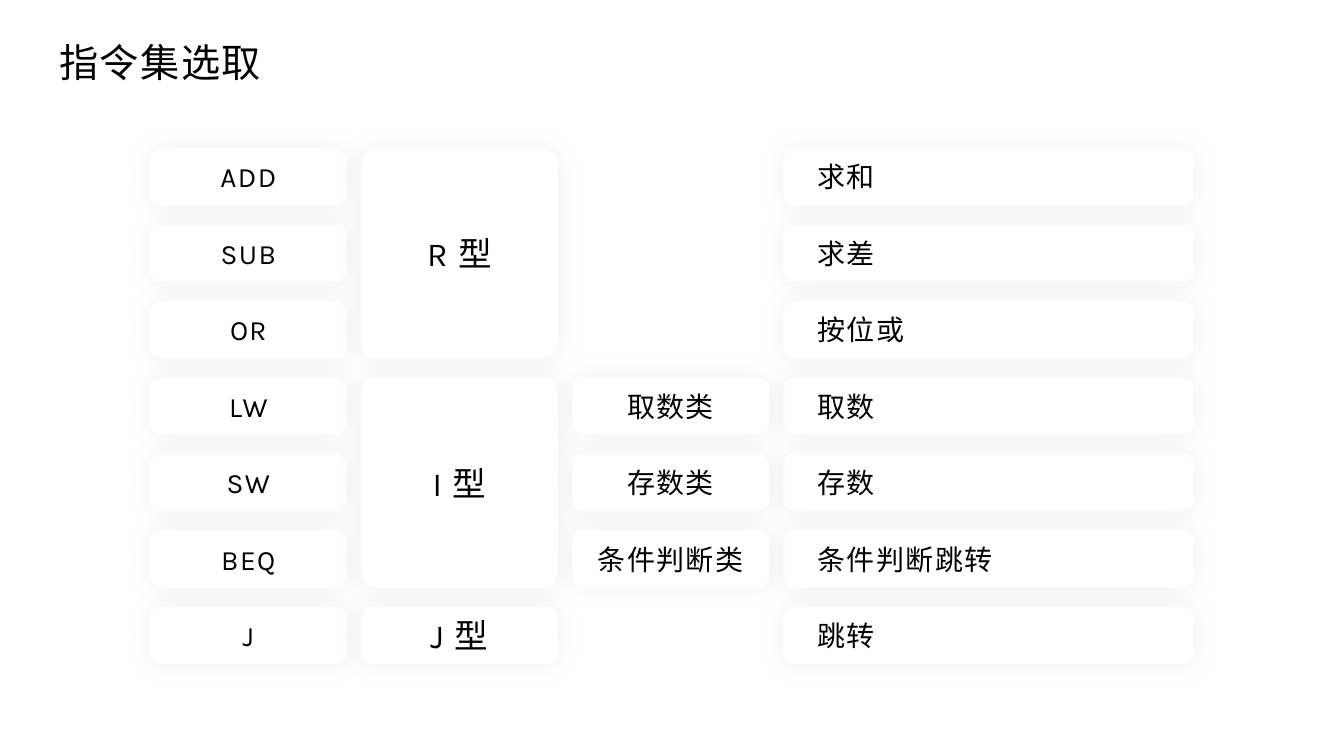
from lxml import etree
from pptx import Presentation
from pptx.dml.color import RGBColor
from pptx.enum import shapes, text
from pptx.oxml import ns
from pptx.util import Pt

LEFT, TOP = 107.2, 105.8
COLUMN_STEP, ROW_STEP = 150.8, 54.6
CARD_WIDTH, WIDE_WIDTH, CARD_HEIGHT = 140.4, 293, 41

INSTRUCTIONS = [
    ("ADD", "求和"),
    ("SUB", "求差"),
    ("OR", "按位或"),
    ("LW", "取数"),
    ("SW", "存数"),
    ("BEQ", "条件判断跳转"),
    ("J", "跳转"),
]
TYPES = [("R 型", 0, 3), ("I 型", 3, 3), ("J 型", 6, 1)]
CLASSES = [("取数类", 3), ("存数类", 4), ("条件判断类", 5)]


def color(value):
    return RGBColor.from_string(value)


class InstructionPage:
    font = "Karla"
    ink = "000000"
    paper = "FFFFFF"

    def __init__(self, deck):
        self.page = deck.slides.add_slide(deck.slide_layouts[5])

    def add_words(self, para, words, size, align):
        para.alignment = align
        span = para.add_run()
        span.text = words
        span.font.name = self.font
        span.font.size = Pt(size)
        span.font.color.rgb = color(self.ink)
        span._r.get_or_add_rPr().set("spc", "100")

    def title(self, words):
        box = self.page.shapes.title
        box.left, box.top, box.width, box.height = Pt(35.3), Pt(23.8), Pt(170.6), Pt(41)
        frame = box.text_frame
        frame.word_wrap = False
        frame.auto_size = text.MSO_AUTO_SIZE.SHAPE_TO_FIT_TEXT
        frame.vertical_anchor = text.MSO_ANCHOR.TOP
        self.add_words(frame.paragraphs[0], words, 28, text.PP_ALIGN.LEFT)

    def soften(self, box):
        """Give the box a faint, wide shadow on all sides."""
        box.shadow.inherit = False
        effects = box._element.spPr.find(ns.qn("a:effectLst"))
        shadow = etree.SubElement(effects, ns.qn("a:outerShdw"), blurRad=str(Pt(20)),
                                  dist="0", dir="2700000", algn="ctr", rotWithShape="0")
        tint = etree.SubElement(shadow, ns.qn("a:srgbClr"), val=self.ink)
        etree.SubElement(tint, ns.qn("a:alpha"), val="5000")

    def card(self, words, column, row, rows=1, width=CARD_WIDTH, size=20,
             align=text.PP_ALIGN.CENTER, indent=7.2):
        """Place a rounded card on the grid, spanning the given rows."""
        height = CARD_HEIGHT + (rows - 1) * ROW_STEP
        box = self.page.shapes.add_shape(
            shapes.MSO_SHAPE.ROUNDED_RECTANGLE,
            Pt(LEFT + column * COLUMN_STEP), Pt(TOP + row * ROW_STEP), Pt(width), Pt(height))
        radius = 7.3 if rows == 1 else 10.8
        box.adjustments[0] = radius / min(width, height)
        box.fill.solid()
        box.fill.fore_color.rgb = color(self.paper)
        box.line.fill.background()
        self.soften(box)
        frame = box.text_frame
        frame.word_wrap = True
        frame.margin_left = Pt(indent)
        frame.vertical_anchor = text.MSO_ANCHOR.MIDDLE
        self.add_words(frame.paragraphs[0], words, size, align)


def main():
    deck = Presentation()
    deck.slide_width, deck.slide_height = Pt(960), Pt(540)
    page = InstructionPage(deck)
    page.title("指令集选取")
    for row, (name, _) in enumerate(INSTRUCTIONS):
        page.card(name, 0, row)
    for name, row, rows in TYPES:
        page.card(name, 1, row, rows, size=24)
    for row, (_, meaning) in enumerate(INSTRUCTIONS):
        page.card(meaning, 3, row, width=WIDE_WIDTH, align=text.PP_ALIGN.LEFT, indent=22.3)
    for name, row in CLASSES:
        page.card(name, 2, row)
    deck.save("out.pptx")


if __name__ == "__main__":
    main()
